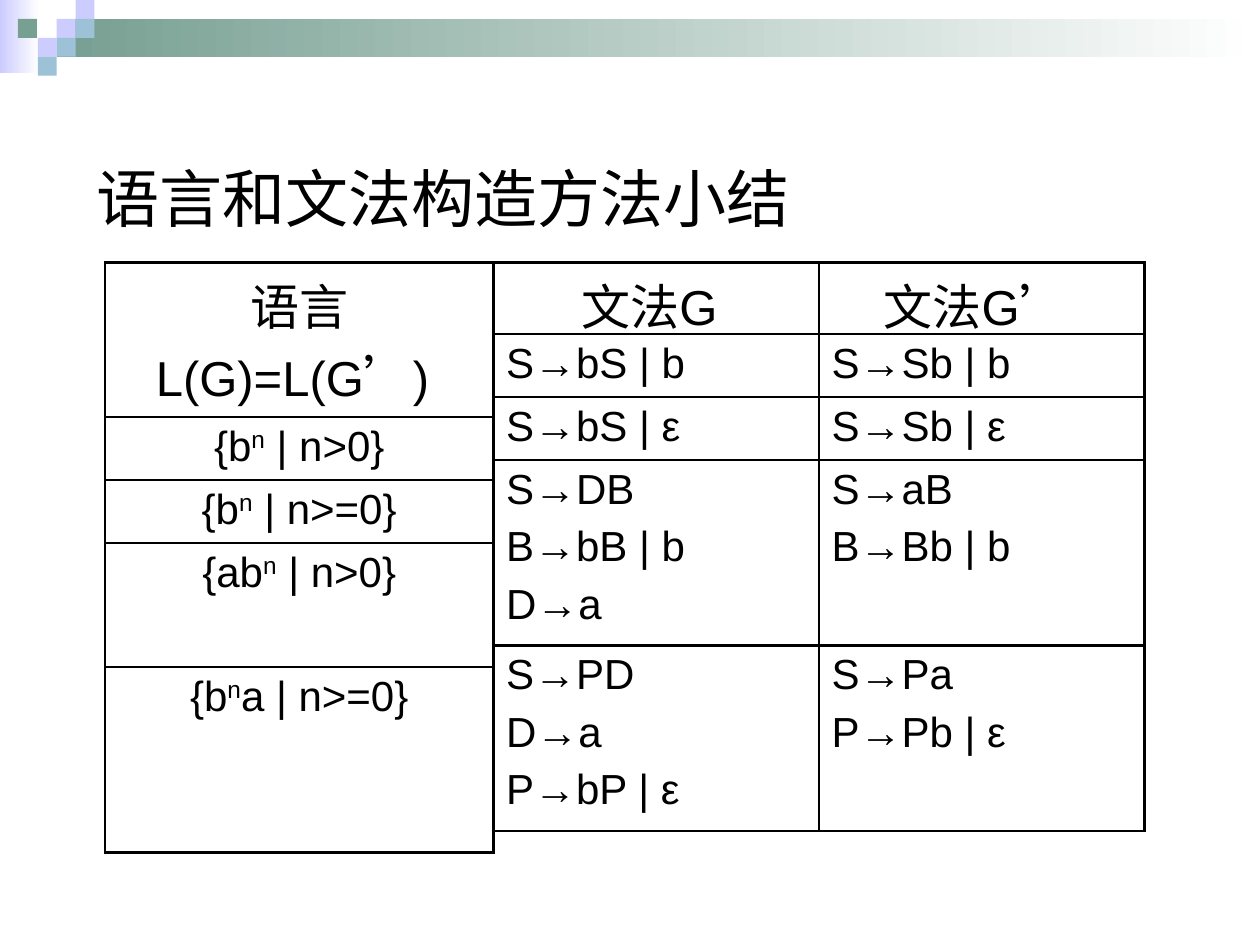
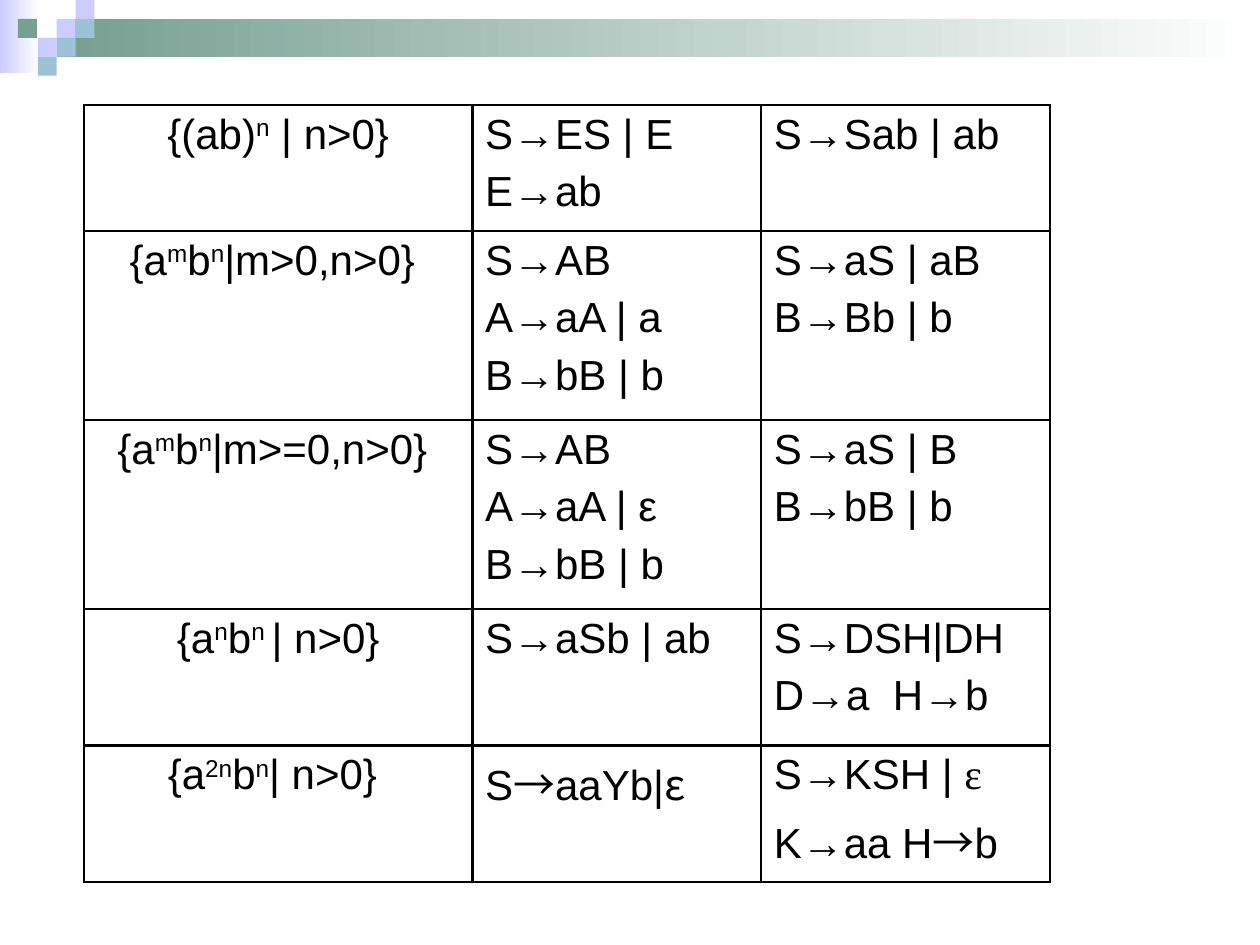
from lxml import etree
from pptx import Presentation
from pptx.dml.color import RGBColor
from pptx.enum.lang import MSO_LANGUAGE_ID
from pptx.enum.shapes import MSO_SHAPE
from pptx.enum.text import MSO_ANCHOR, PP_ALIGN
from pptx.oxml import parse_xml
from pptx.oxml.ns import nsdecls, qn
from pptx.util import Inches, Pt

RECTANGLE = MSO_SHAPE.RECTANGLE
BOTTOM = MSO_ANCHOR.BOTTOM
LEFT, CENTER, JUSTIFY = PP_ALIGN.LEFT, PP_ALIGN.CENTER, PP_ALIGN.JUSTIFY
CHINESE = MSO_LANGUAGE_ID.SIMPLIFIED_CHINESE

BLACK = RGBColor(0x00, 0x00, 0x00)
WHITE = RGBColor(0xFF, 0xFF, 0xFF)
LAVENDER = RGBColor(0xCC, 0xCC, 0xFF)
GREEN = RGBColor(0x77, 0x9F, 0x92)
SKY = RGBColor(0x9D, 0xC2, 0xD7)

SANS, CJK, SERIF = "Arial", "Noto Sans CJK SC", "Times New Roman"
TITLE_SIZE, HEAD_SIZE, BODY_SIZE = 36, 28, 24
LINE_GAP = Pt(6)
BORDER = Pt(1.47)

# The content grid has 120 columns and 90 rows; the band has its own squares
SLIDE_WIDTH, SLIDE_HEIGHT = Inches(10), Inches(7.5)
UNIT = SLIDE_WIDTH / 120
SQUARE = Inches(0.15)
BAND_SQUARES = [
    (3, 1, LAVENDER), (4, 0, LAVENDER), (4, 1, SKY), (2, 2, LAVENDER),
    (0.95, 1, GREEN), (3, 2, SKY), (2, 3, SKY),
]

LANGUAGE_WIDTH = 37

# Cells are lists of lines; ^ switches superscript on and off,
# and a line with mixed fonts is a list of (text, font) pairs.
SUMMARY_LANGUAGES = [
    [["语言L(G)=L(G’) "]],
    [["{b^n^ | n>0}"]],
    [["{b^n^ | n>=0}"]],
    [["{ab^n^ | n>0}"]],
    [["{b^n^a | n>=0}"]],
]
SUMMARY_GRAMMARS = [
    [["文法G "], ["文法G’ "]],
    [["S→bS | b"], ["S→Sb | b"]],
    [["S→bS | ε"], ["S→Sb | ε"]],
    [["S→DB", "B→bB | b", "D→a"], ["S→aB", "B→Bb | b"]],
    [["S→PD", "D→a", "P→bP | ε"], ["S→Pa", "P→Pb | ε"]],
]
MORE_LANGUAGES = [
    [["{(ab)^n^ | n>0}"]],
    [["{a^m^b^n^|m>0,n>0} "]],
    [["{a^m^b^n^|m>=0,n>0} "]],
    [["{a^n^b^n ^| n>0}"]],
    [["{a^2n^b^n^| n>0} "]],
]
MORE_GRAMMARS = [
    [["S→ES | E", "E→ab"], ["S→Sab | ab"]],
    [["S→AB", "A→aA | a", "B→bB | b"], ["S→aS | aB", "B→Bb | b"]],
    [["S→AB", "A→aA | ε", "B→bB | b"], ["S→aS | B", "B→bB | b "]],
    [["S→aSb | ab"], ["S→DSH|DH", "D→a  H→b"]],
    [[[("S", SANS), ("→", CJK), ("aaYb|", SANS), ("ε", CJK)]],
     [[("S", SANS), ("→", SERIF), ("KSH | ", SANS), ("ε", SERIF)],
      [("K", SANS), ("→", SERIF), ("aa H", SANS), ("→", CJK), ("b ", SANS)]]],
]


def grid(*counts):
    return [round(count * UNIT) for count in counts]


# Text
def has_chinese(text):
    return any("一" <= letter <= "龥" for letter in text)


def add_run(paragraph, text, size, font=SANS, raised=False):
    run = paragraph.add_run()
    run.text = text
    run.font.name = font
    run.font.size = Pt(size)
    run.font.color.rgb = BLACK
    properties = run.font._element
    east_asian = etree.SubElement(properties, qn("a:ea"))
    east_asian.set("typeface", CJK if has_chinese(text) else font)
    if has_chinese(text):
        run.font.language_id = CHINESE
    if raised:
        properties.set("baseline", "30000")


def write_lines(frame, lines, size, align):
    for index, line in enumerate(lines):
        paragraph = frame.add_paragraph() if index else frame.paragraphs[0]
        paragraph.alignment = align
        if index:
            paragraph.space_before = LINE_GAP
        for text, font in [(line, SANS)] if isinstance(line, str) else line:
            for part, piece in enumerate(text.split("^")):
                if piece:
                    add_run(paragraph, piece, size, font, raised=part % 2 == 1)


def add_title(slide, text):
    box = slide.shapes.add_textbox(*grid(8, 13, 102, 10))
    box.text_frame.word_wrap = True
    box.text_frame.vertical_anchor = BOTTOM
    write_lines(box.text_frame, [text], TITLE_SIZE, LEFT)


# Band at the top of every slide
def add_block(slide, left, top, width, height, color, fades=False):
    block = slide.shapes.add_shape(
        RECTANGLE, *[round(n * SQUARE) for n in (left, top, width, height)])
    block.shadow.inherit = False
    block.line.fill.background()
    if fades:
        block.fill.gradient()
        block.fill.gradient_angle = 0
        for stop, stop_color in zip(block.fill.gradient_stops, (color, WHITE)):
            stop.color.rgb = stop_color
        for position, stop in enumerate(block.fill.gradient_stops):
            stop.position = position
    else:
        block.fill.solid()
        block.fill.fore_color.rgb = color


def add_band(slide):
    add_block(slide, 0, 0, 2.07, 3.87, LAVENDER, fades=True)
    add_block(slide, 3, 1, SLIDE_WIDTH / SQUARE - 3, 2, GREEN, fades=True)
    for column, row, color in BAND_SQUARES:
        add_block(slide, column, row, 1, 1, color)


# Tables
def outline_cell(cell):
    properties = cell._tc.get_or_add_tcPr()
    for side in ("lnL", "lnR", "lnT", "lnB"):
        properties.append(parse_xml(
            f'<a:{side} {nsdecls("a")} w="{BORDER}"><a:solidFill>'
            f'<a:srgbClr val="{BLACK}"/></a:solidFill></a:{side}>'))
    cell.fill.background()


def add_rule_table(slide, left, top, column_width, row_heights, rows, align,
                   has_head=False):
    columns = len(rows[0])
    table = slide.shapes.add_table(
        len(rows), columns,
        *grid(left, top, columns * column_width, sum(row_heights))).table
    table.first_row = table.horz_banding = False
    for column in table.columns:
        column.width, = grid(column_width)
    for index, (height, cells) in enumerate(zip(row_heights, rows)):
        table.rows[index].height, = grid(height)
        is_head = has_head and index == 0
        for cell, lines in zip(table.rows[index].cells, cells):
            outline_cell(cell)
            write_lines(cell.text_frame, lines,
                        HEAD_SIZE if is_head else BODY_SIZE,
                        CENTER if is_head else align)


def add_slide(deck):
    slide = deck.slides.add_slide(deck.slide_layouts[6])
    add_band(slide)
    return slide


def main():
    deck = Presentation()
    deck.slide_width, deck.slide_height = SLIDE_WIDTH, SLIDE_HEIGHT

    # Summary with headings
    summary = add_slide(deck)
    left, top = 10, 25
    add_rule_table(summary, left, top, LANGUAGE_WIDTH, [12.5, 6, 6, 11.85, 17.65],
                   SUMMARY_LANGUAGES, CENTER, has_head=True)
    add_title(summary, "语言和文法构造方法小结")
    add_rule_table(summary, left + LANGUAGE_WIDTH, top, 31,
                   [6.8, 6, 6, 17.65, 17.65],
                   SUMMARY_GRAMMARS, JUSTIFY, has_head=True)

    # Further languages
    more = add_slide(deck)
    left, top = 8, 10
    row_heights = [12, 18, 18, 13, 13]
    add_rule_table(more, left, top, LANGUAGE_WIDTH, row_heights,
                   MORE_LANGUAGES, CENTER)
    add_rule_table(more, left + LANGUAGE_WIDTH, top, 27.5, row_heights,
                   MORE_GRAMMARS, JUSTIFY)

    deck.save("out.pptx")


if __name__ == "__main__":
    main()
